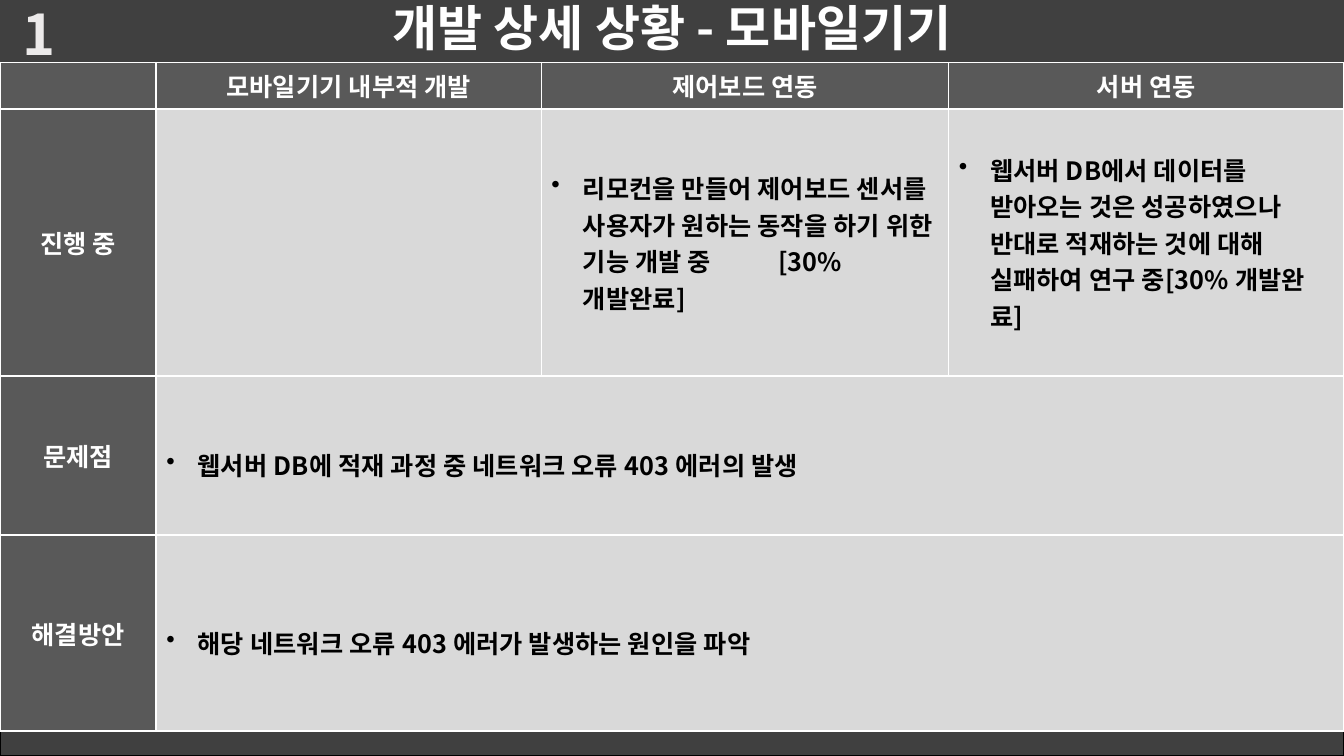
"""Build the mobile device development status slide."""
from dataclasses import dataclass

from lxml import etree
from pptx import Presentation
from pptx.dml.color import RGBColor
from pptx.enum.text import MSO_ANCHOR, PP_ALIGN
from pptx.oxml.ns import qn
from pptx.util import Inches, Pt

CENTER = PP_ALIGN.CENTER
LEFT = PP_ALIGN.LEFT
MIDDLE = MSO_ANCHOR.MIDDLE
FONT = "Noto Sans CJK KR"
WHITE = RGBColor(0xFF, 0xFF, 0xFF)
BLACK = RGBColor(0, 0, 0)
BAR_GRAY = RGBColor(0x40, 0x40, 0x40)
HEADER_GRAY = RGBColor(0x59, 0x59, 0x59)
BODY_GRAY = RGBColor(0xD9, 0xD9, 0xD9)
NUMBER_GRAY = RGBColor(0xEC, 0xEA, 0xEA)

SLIDE_WIDTH = 13.33
COLUMN_WIDTHS = (1.55, 3.82, 4.04, 3.92)
ROW_HEIGHTS = (0.46, 2.65, 1.58, 1.94)
BULLET_INDENT = Inches(0.31)
TAB_POSITION = Inches(2.25)


@dataclass(frozen=True)
class Bar:
    top: float
    height: float
    outlined: bool


@dataclass(frozen=True)
class Label:
    text: str
    left: float
    top: float
    width: float
    height: float
    size: int
    color: RGBColor
    anchor: MSO_ANCHOR
    wrap: bool
    line_spacing: float


@dataclass(frozen=True)
class Entry:
    row: int
    column: int
    text: str
    line_spacing: float = 1.0


BARS = (Bar(-0.04, 0.68, False), Bar(7.25, 0.25, True))
LABELS = (
    Label("개발 상세 상황 - 모바일기기", 0, -0.04, SLIDE_WIDTH, 0.68, 35, WHITE, MIDDLE, True, 0.9),
    Label("1", -0.04, -0.05, 0.85, 0.77, 40, NUMBER_GRAY, MSO_ANCHOR.TOP, False, 1.0),
)
ENTRIES = (
    Entry(0, 1, "모바일기기 내부적 개발"),
    Entry(0, 2, "제어보드 연동"),
    Entry(0, 3, "서버 연동"),
    Entry(1, 0, "진행 중"),
    Entry(1, 2, "리모컨을 만들어 제어보드 센서를 사용자가 원하는 동작을 하기 위한 기능 개발 중\t[30% 개발완료]"),
    Entry(1, 3, "웹서버 DB에서 데이터를 받아오는 것은 성공하였으나 반대로 적재하는 것에 대해 실패하여 연구 중[30% 개발완료]"),
    Entry(2, 0, "문제점"),
    Entry(2, 1, "웹서버 DB에 적재 과정 중 네트워크 오류 403 에러의 발생", 1.5),
    Entry(3, 0, "해결방안"),
    Entry(3, 1, "해당 네트워크 오류 403 에러가 발생하는 원인을 파악", 1.5),
)


def add_run(paragraph, text: str, size: int, color: RGBColor, spacing: int = 0) -> None:
    """Add one bold run with Latin and East Asian fonts."""
    run = paragraph.add_run()
    run.text = text
    run.font.size = Pt(size)
    run.font.bold = True
    run.font.color.rgb = color
    run.font.name = FONT
    properties = run.font._element
    properties.set("spc", str(spacing))
    latin = properties.find(qn("a:latin"))
    latin.addnext(etree.Element(qn("a:ea"), typeface=FONT))


def add_bar(slide, bar: Bar) -> None:
    """Draw a full-width dark band."""
    shape = slide.shapes.add_shape(1, 0, Inches(bar.top), Inches(SLIDE_WIDTH), Inches(bar.height))
    shape.shadow.inherit = False
    shape.fill.solid()
    shape.fill.fore_color.rgb = BAR_GRAY
    if bar.outlined:
        shape.line.color.rgb = BLACK
        shape.line.width = Pt(1)
    else:
        shape.line.fill.background()


def add_label(slide, label: Label) -> None:
    """Write a centred line of text."""
    box = slide.shapes.add_textbox(
        Inches(label.left), Inches(label.top), Inches(label.width), Inches(label.height)
    )
    frame = box.text_frame
    frame.word_wrap = label.wrap
    frame.vertical_anchor = label.anchor
    paragraph = frame.paragraphs[0]
    paragraph.alignment = CENTER
    paragraph.line_spacing = label.line_spacing
    add_run(paragraph, label.text, label.size, label.color)


def style_cell(cell, row: int, column: int) -> None:
    """Set the borders and fill of a cell from its place in the grid."""
    widths = {
        "a:lnL": 1.5 if column == 1 else 1,
        "a:lnR": 1.5 if column == 0 else 1,
        "a:lnT": 1 if row == 0 else 1.5,
        "a:lnB": 1.5,
    }
    properties = cell._tc.get_or_add_tcPr()
    for tag, width in widths.items():
        line = etree.SubElement(properties, qn(tag), w=str(Pt(width)))
        fill = etree.SubElement(line, qn("a:solidFill"))
        etree.SubElement(fill, qn("a:srgbClr"), val=str(WHITE))
    cell.fill.solid()
    cell.fill.fore_color.rgb = HEADER_GRAY if row == 0 or column == 0 else BODY_GRAY
    cell.vertical_anchor = MIDDLE


def add_bullet(paragraph, tabbed: bool) -> None:
    """Give a paragraph a hanging bullet and, if needed, a tab stop."""
    properties = paragraph._p.get_or_add_pPr()
    properties.set("marL", str(BULLET_INDENT))
    properties.set("indent", str(-BULLET_INDENT))
    etree.SubElement(properties, qn("a:buChar"), char="•")
    if tabbed:
        tabs = etree.SubElement(properties, qn("a:tabLst"))
        etree.SubElement(tabs, qn("a:tab"), pos=str(TAB_POSITION), algn="l")


def fill_entry(table, entry: Entry) -> None:
    """Write a heading or a bulleted status into its cell."""
    paragraph = table.cell(entry.row, entry.column).text_frame.paragraphs[0]
    heading = entry.row == 0 or entry.column == 0
    paragraph.alignment = CENTER if heading else LEFT
    paragraph.line_spacing = entry.line_spacing
    if not heading:
        add_bullet(paragraph, "\t" in entry.text)
    spacing = 0 if entry.column == 0 else 10
    add_run(paragraph, entry.text, 18, WHITE if heading else BLACK, spacing)


def add_status_table(slide) -> None:
    """Build the status table with its merged lower rows."""
    table = slide.shapes.add_table(
        len(ROW_HEIGHTS), len(COLUMN_WIDTHS), 0, Inches(0.62),
        Inches(SLIDE_WIDTH), Inches(sum(ROW_HEIGHTS)),
    ).table
    table.horz_banding = False
    for column, width in zip(table.columns, COLUMN_WIDTHS):
        column.width = Inches(width)
    for row, height in enumerate(ROW_HEIGHTS):
        table.rows[row].height = Inches(height)
        for column in range(len(COLUMN_WIDTHS)):
            style_cell(table.cell(row, column), row, column)
    for row in (2, 3):
        table.cell(row, 1).merge(table.cell(row, 3))
    for entry in ENTRIES:
        fill_entry(table, entry)


def main() -> None:
    """Assemble and save the presentation."""
    presentation = Presentation()
    presentation.slide_width = Inches(SLIDE_WIDTH)
    presentation.slide_height = Inches(7.5)
    slide = presentation.slides.add_slide(presentation.slide_layouts[6])
    for bar in BARS:
        add_bar(slide, bar)
    for label in LABELS:
        add_label(slide, label)
    add_status_table(slide)
    presentation.save("out.pptx")


if __name__ == "__main__":
    main()
